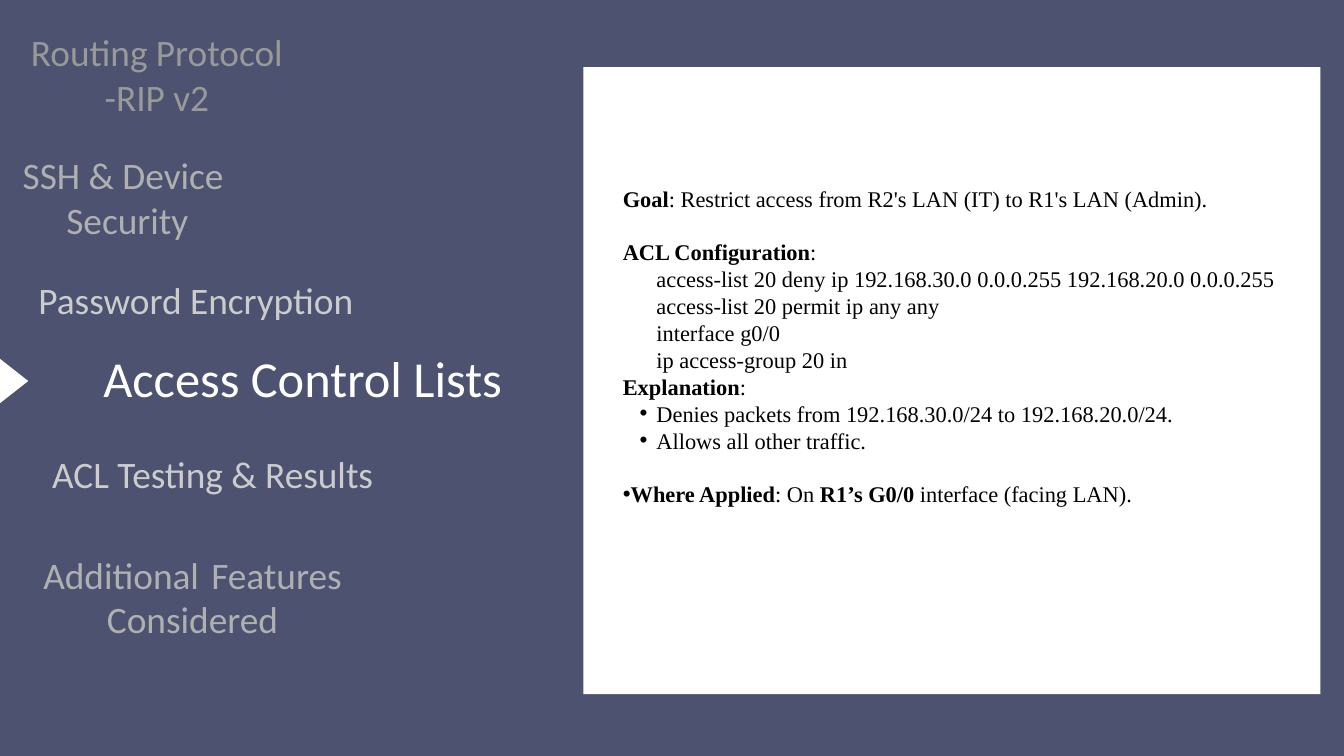
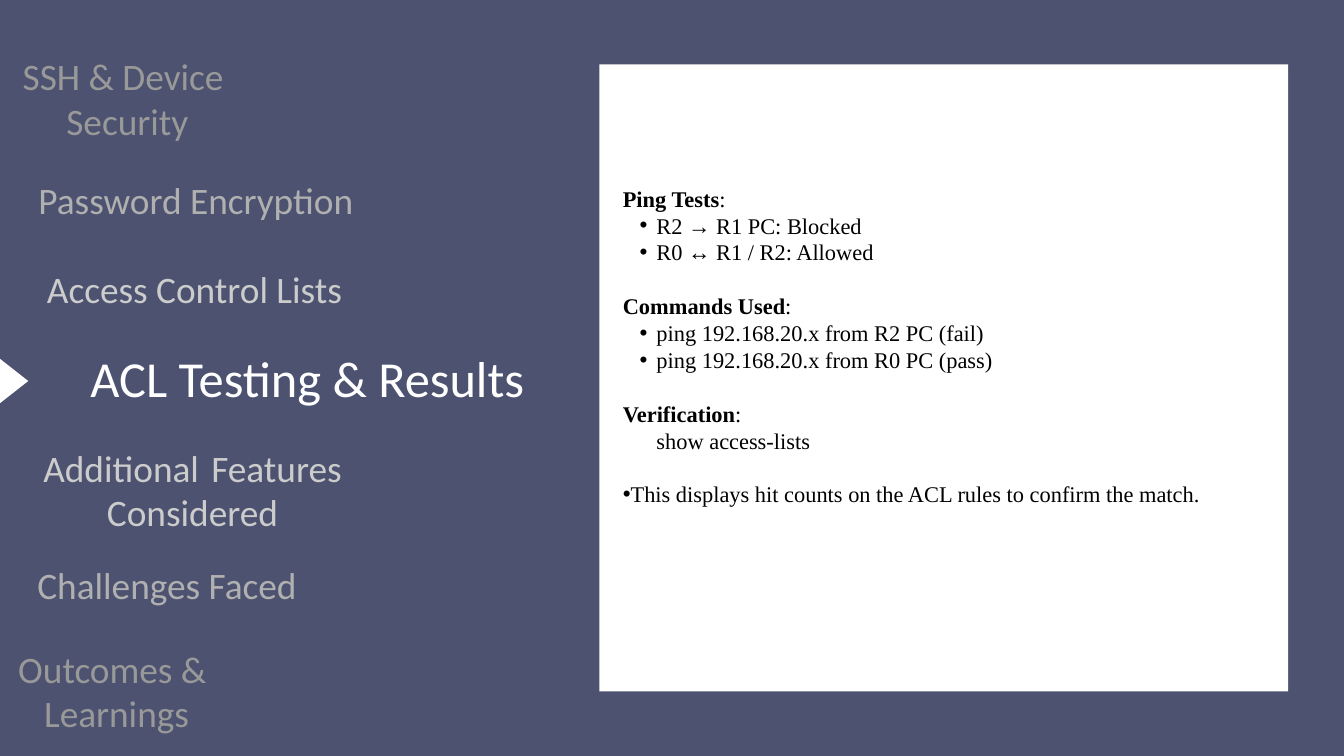
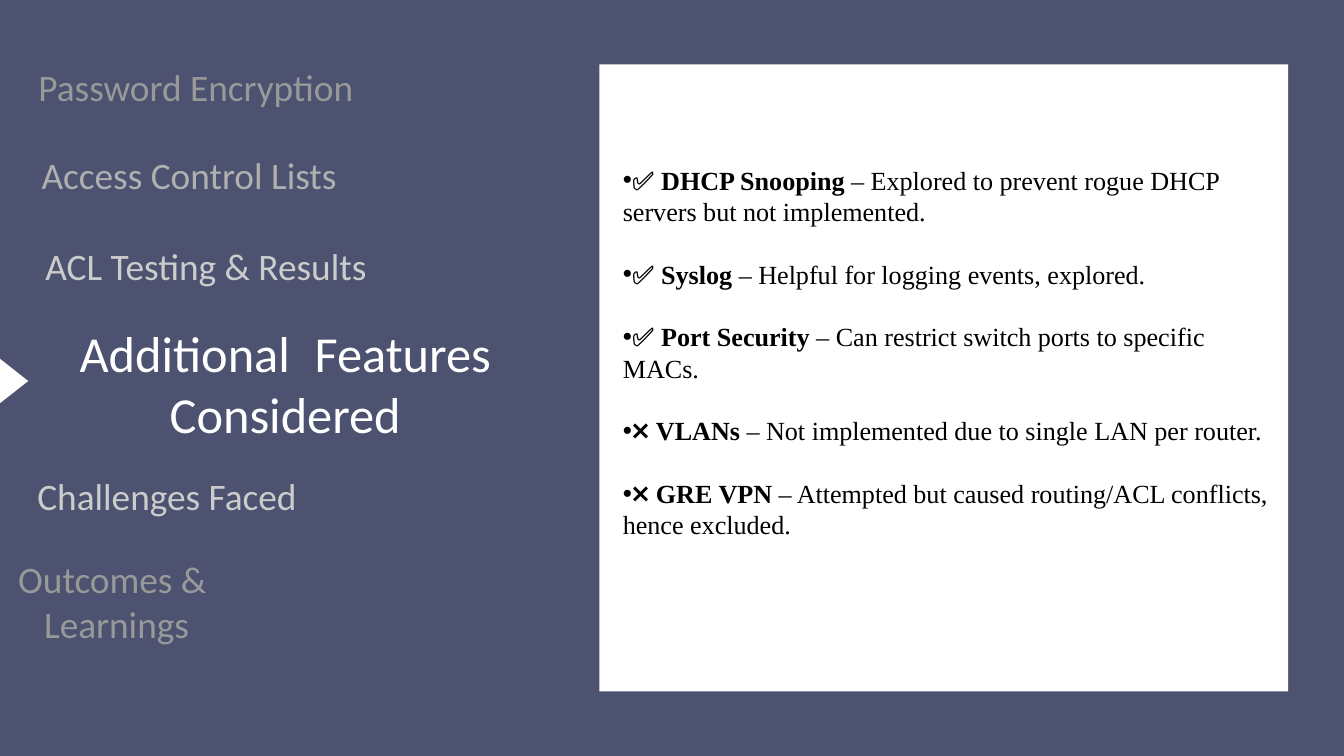
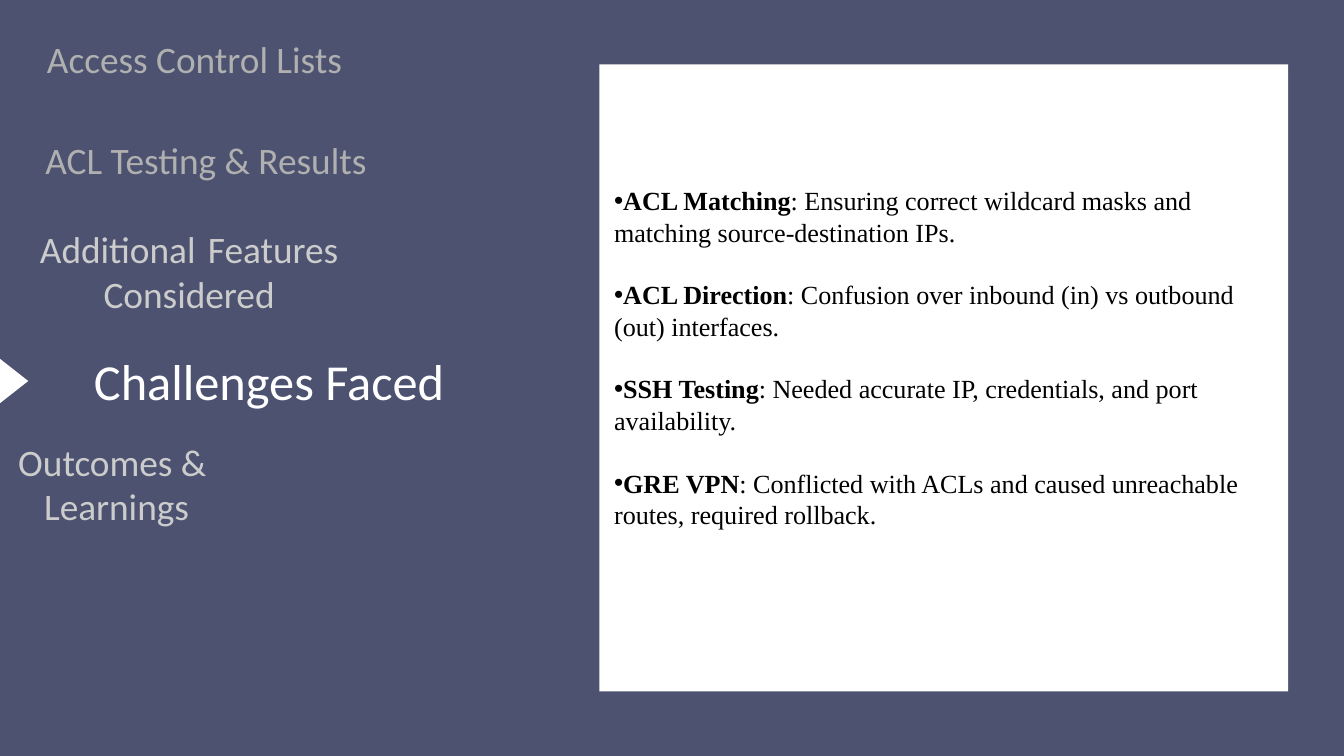
from dataclasses import dataclass
from typing import NamedTuple

from lxml import etree
from pptx import Presentation
from pptx.dml.color import RGBColor
from pptx.enum.shapes import MSO_SHAPE
from pptx.enum.text import MSO_ANCHOR, MSO_AUTO_SIZE, PP_ALIGN
from pptx.oxml.ns import qn
from pptx.util import Inches, Pt

# Shared look
NAVY = RGBColor(0x4C, 0x52, 0x70)
WHITE = RGBColor(0xFF, 0xFF, 0xFF)
BLACK = RGBColor(0x00, 0x00, 0x00)
NEAR = RGBColor(0xCC, 0xCC, 0xCC)
MID = RGBColor(0xB0, 0xB0, 0xB0)
FAR = RGBColor(0x99, 0x99, 0x99)
MENU_FONT = "Calibri"
BODY_FONT = "Times New Roman"
MENU_SIZE, TITLE_SIZE = 40, 54
LEADING = 1.2
WIDE, NARROW = 8.13, 7.83

# Menu topics, one string a line
RIP = ("Routing Protocol", "-RIP v2")
SSH = ("SSH & Device ", "Security")
PASSWORD = ("Password Encryption",)
ACL = ("Access Control Lists",)
TESTING = ("ACL Testing & Results",)
FEATURES = ("Additional \tFeatures", "Considered")
CHALLENGES = ("Challenges Faced",)
OUTCOMES = ("Outcomes & ", "Learnings")


class Box(NamedTuple):
    left: float
    top: float
    width: float
    height: float


class Topic(NamedTuple):
    lines: tuple[str, ...]
    left: float
    top: float
    color: RGBColor = WHITE
    width: float = WIDE


class Para(NamedTuple):
    """Body paragraph; every second text is bold, starting with texts[1]."""
    texts: tuple[str, ...]
    bullet: bool = False
    indented: bool = False
    gap: bool = False


@dataclass
class Page:
    title: Topic
    menu: list[Topic]
    body: Box
    size: int
    paras: list[Para]
    panel: Box = Box(8.92, 0.96, 10.25, 9.33)


def head(label: str, rest: str = ":", bullet: bool = False, gap: bool = False,
         mark: str = "") -> Para:
    return Para((mark, label, rest), bullet, gap=gap)


def sub(text: str, bullet: bool = False) -> Para:
    return Para((text,), bullet, indented=True)


def spaced(items: list[tuple[str, str, str]]) -> list[Para]:
    """Bulleted (mark, label, rest) items with a blank line's gap between them."""
    return [head(label, rest, True, i > 0, mark)
            for i, (mark, label, rest) in enumerate(items)]


PAGES = [
    Page(
        Topic(ACL, 0.44, 5.17),
        [Topic(RIP, -1.58, 0.44, FAR, NARROW),
         Topic(SSH, -2.17, 2.27, MID),
         Topic(PASSWORD, -1, 4.12, NEAR, NARROW),
         Topic(TESTING, -0.75, 6.71, NEAR, NARROW),
         Topic(FEATURES, -1.2, 8.21, MID)],
        Box(9.17, 2.7, 10, 4.95), 24,
        [head("Goal", ": Restrict access from R2's LAN (IT) to R1's LAN (Admin)."),
         head("ACL Configuration", gap=True),
         sub("access-list 20 deny ip 192.168.30.0 0.0.0.255 192.168.20.0 0.0.0.255 "
             "access-list 20 permit ip any any"),
         sub("interface g0/0"),
         sub("ip access-group 20 in"),
         head("Explanation"),
         sub("Denies packets from 192.168.30.0/24 to 192.168.20.0/24.", True),
         sub("Allows all other traffic.", True),
         Para(("", "Where Applied", ": On ", "R1’s G0/0", " interface (facing LAN)."),
              bullet=True, gap=True)],
        Box(8.68, 1, 10.97, 9.33),
    ),
    Page(
        Topic(TESTING, 0.51, 5.17),
        [Topic(SSH, -2.17, 0.79, FAR),
         Topic(PASSWORD, -1, 2.64, MID, NARROW),
         Topic(ACL, -1.17, 3.96, NEAR),
         Topic(FEATURES, -1.2, 6.62, NEAR),
         Topic(CHALLENGES, -1.58, 8.37, MID),
         Topic(OUTCOMES, -2.33, 9.61, FAR)],
        Box(9.17, 2.7, 10, 5.35), 24,
        [head("Ping Tests"),
         sub("R2 → R1 PC: Blocked", True),
         sub("R0 ↔ R1 / R2: Allowed", True),
         head("Commands Used", gap=True),
         sub("ping 192.168.20.x from R2 PC (fail)", True),
         sub("ping 192.168.20.x from R0 PC (pass)", True),
         head("Verification", gap=True),
         sub("show access-lists"),
         Para(("This displays hit counts on the ACL rules to confirm the match.",),
              bullet=True, gap=True)],
    ),
    Page(
        Topic(FEATURES, 0.18, 4.8),
        [Topic(PASSWORD, -1, 0.96, FAR, NARROW),
         Topic(ACL, -1.25, 2.27, MID),
         Topic(TESTING, -1, 3.62, NEAR),
         Topic(CHALLENGES, -1.58, 7.04, NEAR),
         Topic(OUTCOMES, -2.33, 8.28, FAR)],
        Box(9.17, 2.39, 10, 6.16), 28,
        spaced([
            ("✅ ", "DHCP Snooping",
             " – Explored to prevent rogue DHCP servers but not implemented."),
            ("✅ ", "Syslog", " – Helpful for logging events, explored."),
            ("✅ ", "Port Security", " – Can restrict switch ports to specific MACs."),
            ("❌ ", "VLANs", " – Not implemented due to single LAN per router."),
            ("❌ ", "GRE VPN",
             " – Attempted but caused routing/ACL conflicts, hence excluded."),
        ]),
    ),
    Page(
        Topic(CHALLENGES, -0.06, 5.21),
        [Topic(ACL, -1.17, 0.54, MID),
         Topic(TESTING, -1, 2.04, MID),
         Topic(FEATURES, -1.25, 3.37, NEAR),
         Topic(OUTCOMES, -2.33, 6.53, NEAR)],
        Box(9.04, 2.7, 10, 5.28), 28,
        spaced([
            ("", "ACL Matching",
             ": Ensuring correct wildcard masks and matching source-destination IPs."),
            ("", "ACL Direction",
             ": Confusion over inbound (in) vs outbound (out) interfaces."),
            ("", "SSH Testing", ": Needed accurate IP, credentials, and port availability."),
            ("", "GRE VPN",
             ": Conflicted with ACLs and caused unreachable routes, required rollback."),
        ]),
    ),
]


def place(sp, box: Box) -> None:
    sp.left, sp.top, sp.width, sp.height = (Inches(v) for v in box)


def add_run(p, text: str, font: str, size: int, color: RGBColor, bold: bool = False) -> None:
    r = p.add_run()
    r.text = text
    r.font.name = font
    r.font.size = Pt(size)
    r.font.bold = bold
    r.font.color.rgb = color


def next_paragraph(tf, index: int, size: int):
    p = tf.add_paragraph() if index else tf.paragraphs[0]
    p.line_spacing = Pt(size * LEADING)
    return p


def add_white_shape(s, kind: MSO_SHAPE, box: Box):
    sp = s.shapes.add_shape(kind, *(Inches(v) for v in box))
    sp.shadow.inherit = False
    sp.fill.solid()
    sp.fill.fore_color.rgb = WHITE
    sp.line.fill.background()
    return sp


def set_topic(sp, topic: Topic, size: int) -> None:
    height = round(len(topic.lines) * size * LEADING / 72, 2)
    place(sp, Box(topic.left, topic.top, topic.width, height))
    tf = sp.text_frame
    tf.word_wrap = True
    tf.auto_size = MSO_AUTO_SIZE.SHAPE_TO_FIT_TEXT
    tf.vertical_anchor = MSO_ANCHOR.TOP
    tf.margin_left = tf.margin_right = tf.margin_top = tf.margin_bottom = 0
    for i, line in enumerate(topic.lines):
        p = next_paragraph(tf, i, size)
        p.alignment = PP_ALIGN.CENTER
        add_run(p, line, MENU_FONT, size, topic.color)


def add_body(s, page: Page) -> None:
    tf = s.shapes.add_textbox(*(Inches(v) for v in page.body)).text_frame
    tf.word_wrap = True
    tf.auto_size = MSO_AUTO_SIZE.SHAPE_TO_FIT_TEXT
    for i, para in enumerate(page.paras):
        p = next_paragraph(tf, i, page.size)
        if para.gap:
            p.space_before = Pt(page.size * LEADING)
        pPr = p._p.get_or_add_pPr()
        if para.indented:
            p.level = 1
            pPr.set("marL", str(Inches(0.5)))
            pPr.set("indent", str(Inches(-0.25) if para.bullet else 0))
        if para.bullet:
            etree.SubElement(pPr, qn("a:buFont")).set("typeface", "Arial")
            etree.SubElement(pPr, qn("a:buChar")).set("char", "•")
        for j, text in enumerate(para.texts):
            if text:
                add_run(p, text, BODY_FONT, page.size, BLACK, bold=j % 2 == 1)


def add_page(prs, page: Page) -> None:
    s = prs.slides.add_slide(prs.slide_layouts[5])
    # White panel and the pointer to the current topic
    add_white_shape(s, MSO_SHAPE.RECTANGLE, page.panel)
    pointer = add_white_shape(s, MSO_SHAPE.ISOSCELES_TRIANGLE, Box(-0.12, 5.46, 0.66, 0.42))
    pointer.rotation = 90
    # Current topic, then its neighbours
    set_topic(s.shapes.title, page.title, TITLE_SIZE)
    for topic in page.menu:
        set_topic(s.shapes.add_textbox(0, 0, 0, 0), topic, MENU_SIZE)
    add_body(s, page)


def main() -> None:
    prs = Presentation()
    prs.slide_width, prs.slide_height = Inches(20), Inches(11.25)
    fill = prs.slide_master.background.fill
    fill.solid()
    fill.fore_color.rgb = NAVY
    for page in PAGES:
        add_page(prs, page)
    prs.save("out.pptx")


if __name__ == "__main__":
    main()
